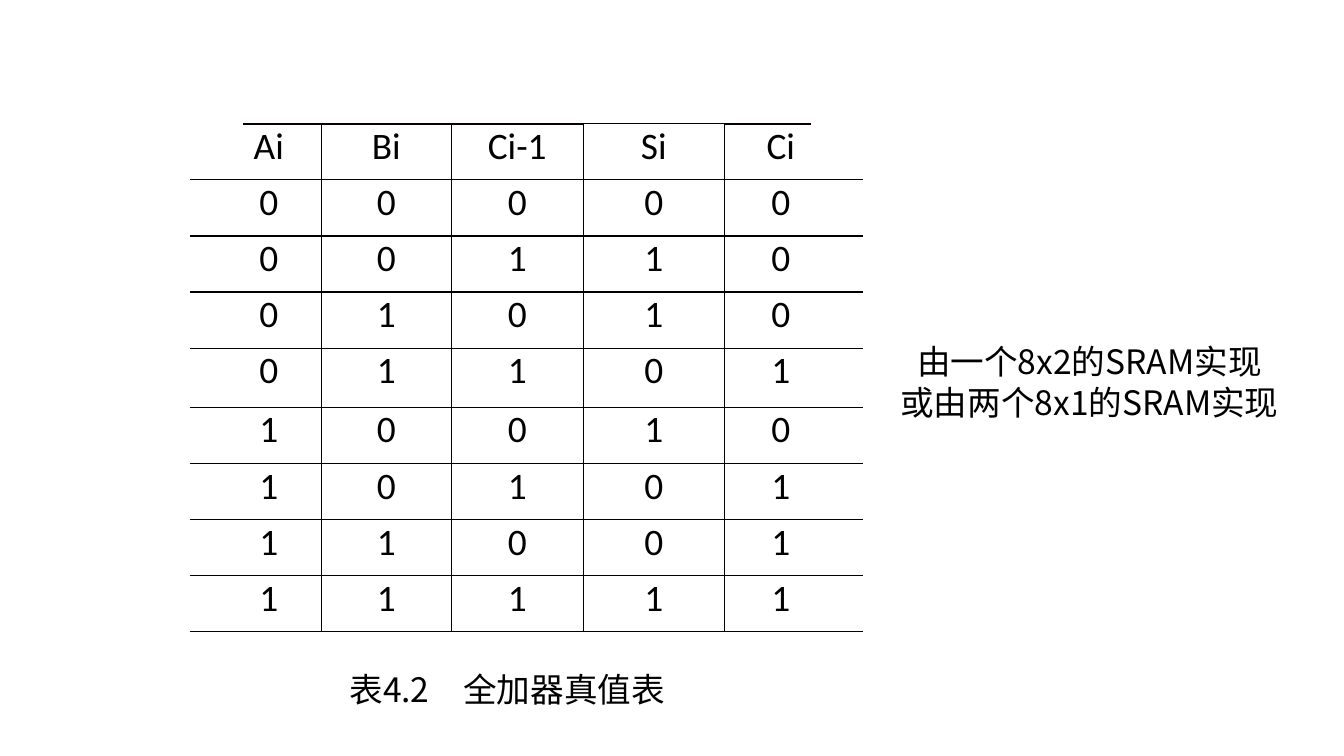
"""Build a slide with the truth table of a full adder, its caption and a note."""
import itertools
from dataclasses import dataclass
from typing import NamedTuple

import pptx
import pptx.dml.color
import pptx.enum.text
import pptx.oxml.ns
import pptx.oxml.xmlchemy
import pptx.util
from lxml import etree
from pptx.util import Cm


class Border(NamedTuple):
    color: str
    points: float


@dataclass(frozen=True)
class Theme:
    ink: str = "000000"
    paper: str = "FFFFFF"
    table_font: str = "Calibri"
    text_font: str = "Noto Sans CJK JP"
    table_size: float = 20
    text_size: float = 18
    line: Border = Border("000000", 0.75)
    thin: Border = Border("080000", 0.5)
    heavy: Border = Border("080000", 1)
    open_side: Border = Border("FFFFFF", 31.87)


@dataclass(frozen=True)
class TextBlock:
    left: float
    top: float
    width: float
    height: float
    lines: tuple[str, ...]


THEME = Theme()
HEADINGS = ("Ai", "Bi", "Ci-1", "Si", "Ci")
COLUMN_WIDTHS = (1.98, 2.46, 2.49, 2.67, 2.13)
ROW_HEIGHTS = (1.06,) * 4 + (1.12,) + (1.06,) * 4
SUM_COLUMN = HEADINGS.index("Si")
BLOCKS = (
    TextBlock(4.29, 12.55, 10.59, 0.97, ("表4.2　全加器真值表",)),
    TextBlock(16.69, 6.35, 7.8, 1.73, ("由一个8x2的SRAM实现", "或由两个8x1的SRAM实现")),
)


def truth_rows() -> list[tuple[str, ...]]:
    """Return the headings followed by inputs, sum and carry for every case."""
    rows = [HEADINGS]
    for inputs in itertools.product((0, 1), repeat=3):
        carry, total = divmod(sum(inputs), 2)
        rows.append(tuple(str(bit) for bit in (*inputs, total, carry)))
    return rows


def write_line(para, text: str, font: str, size: float) -> None:
    """Add one centred run to a paragraph."""
    para.alignment = pptx.enum.text.PP_ALIGN.CENTER
    span = para.add_run()
    span.text = text
    span.font.name = font
    span.font.size = pptx.util.Pt(size)
    span.font.color.rgb = pptx.dml.color.RGBColor.from_string(THEME.ink)
    east_asian = etree.SubElement(span.font._element, pptx.oxml.ns.qn("a:ea"))
    east_asian.set("typeface", font)


def cell_borders(row: int, column: int) -> dict[str, Border]:
    """Choose the four borders of a cell from its place in the grid."""
    last_row, last_column = len(ROW_HEIGHTS) - 1, len(COLUMN_WIDTHS) - 1
    outer = THEME.line if column == SUM_COLUMN else THEME.heavy
    return {
        "lnL": {0: THEME.open_side, SUM_COLUMN: THEME.thin}.get(column, THEME.line),
        "lnR": {last_column: THEME.open_side, SUM_COLUMN - 1: THEME.thin}.get(column, THEME.line),
        "lnT": {0: outer, 1: THEME.thin}.get(row, THEME.line),
        "lnB": {0: THEME.thin, last_row: outer}.get(row, THEME.line),
    }


def draw_borders(cell, borders: dict[str, Border]) -> None:
    """Write border lines into the cell properties."""
    properties = cell._tc.get_or_add_tcPr()
    for side, border in borders.items():
        line = etree.SubElement(properties, pptx.oxml.ns.qn(f"a:{side}"))
        line.set("w", str(pptx.util.Pt(border.points)))
        fill = etree.SubElement(line, pptx.oxml.ns.qn("a:solidFill"))
        etree.SubElement(fill, pptx.oxml.ns.qn("a:srgbClr")).set("val", border.color)


def draw_truth_table(page) -> None:
    """Add the truth table."""
    table = page.shapes.add_table(
        len(ROW_HEIGHTS), len(COLUMN_WIDTHS), Cm(4.09), Cm(2.34),
        Cm(sum(COLUMN_WIDTHS)), Cm(sum(ROW_HEIGHTS))).table
    table.first_row = table.horz_banding = False
    for column, width in zip(table.columns, COLUMN_WIDTHS):
        column.width = Cm(width)
    for row, height in zip(table.rows, ROW_HEIGHTS):
        row.height = Cm(height)
    for row_index, values in enumerate(truth_rows()):
        for column_index, value in enumerate(values):
            cell = table.cell(row_index, column_index)
            cell.margin_left = cell.margin_right = Cm(0.15)
            cell.margin_top = cell.margin_bottom = Cm(0)
            draw_borders(cell, cell_borders(row_index, column_index))
            cell.fill.solid()
            cell.fill.fore_color.rgb = pptx.dml.color.RGBColor.from_string(THEME.paper)
            write_line(cell.text_frame.paragraphs[0], value, THEME.table_font, THEME.table_size)


def draw_text(page, block: TextBlock) -> None:
    """Add a wrapped text box with one paragraph per line."""
    box = page.shapes.add_textbox(
        Cm(block.left), Cm(block.top), Cm(block.width), Cm(block.height))
    frame = box.text_frame
    frame.word_wrap = True
    frame.auto_size = pptx.enum.text.MSO_AUTO_SIZE.SHAPE_TO_FIT_TEXT
    frame.margin_left = frame.margin_right = Cm(0.18)
    frame.margin_top = frame.margin_bottom = Cm(0.1)
    for index, text in enumerate(block.lines):
        para = frame.add_paragraph() if index else frame.paragraphs[0]
        write_line(para, text, THEME.text_font, THEME.text_size)


def main() -> None:
    """Create and save the deck."""
    deck = pptx.Presentation()
    deck.slide_width, deck.slide_height = Cm(25.4), Cm(14.29)
    page = deck.slides.add_slide(deck.slide_layouts[6])
    draw_truth_table(page)
    for block in BLOCKS:
        draw_text(page, block)
    deck.save("out.pptx")


if __name__ == "__main__":
    main()
